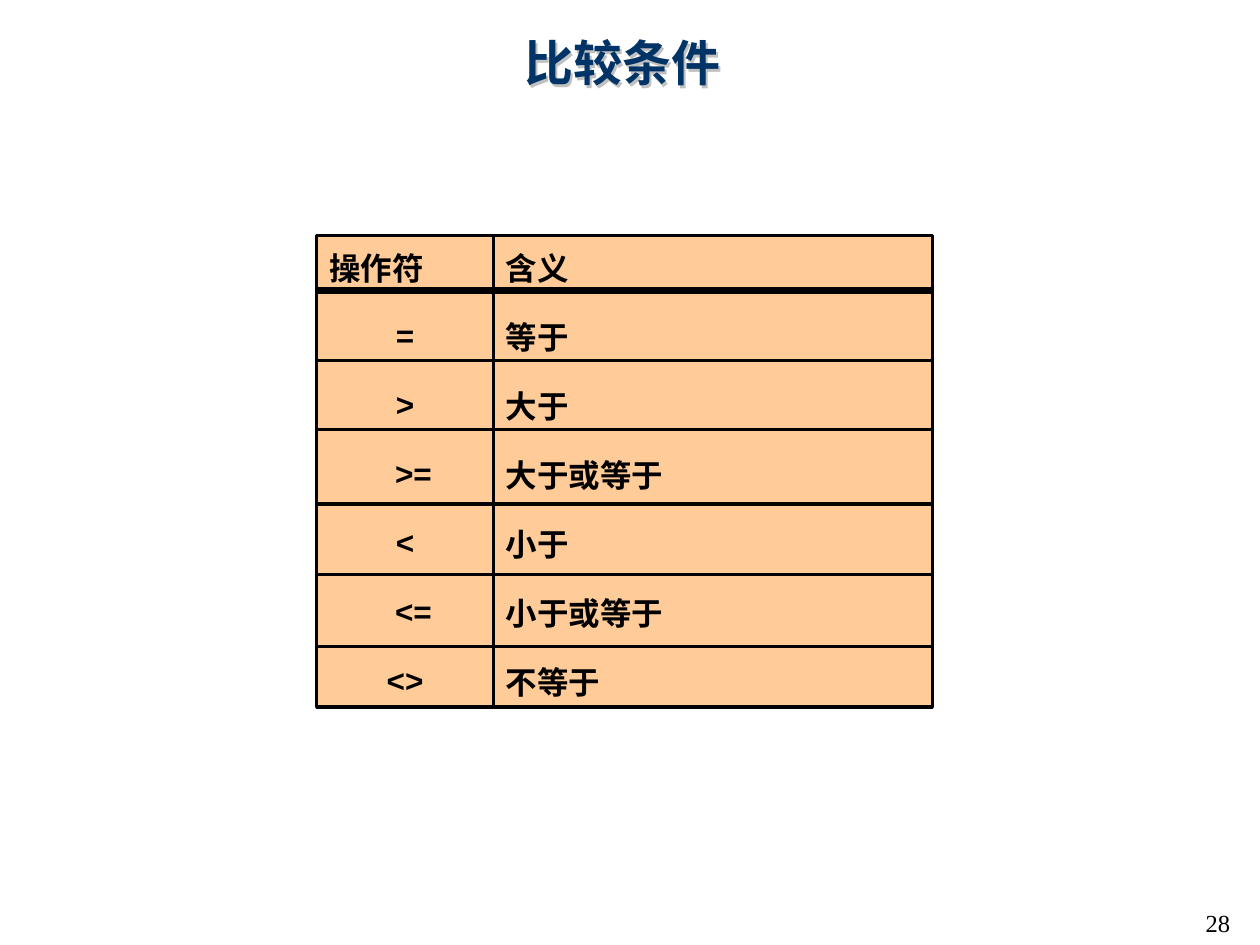
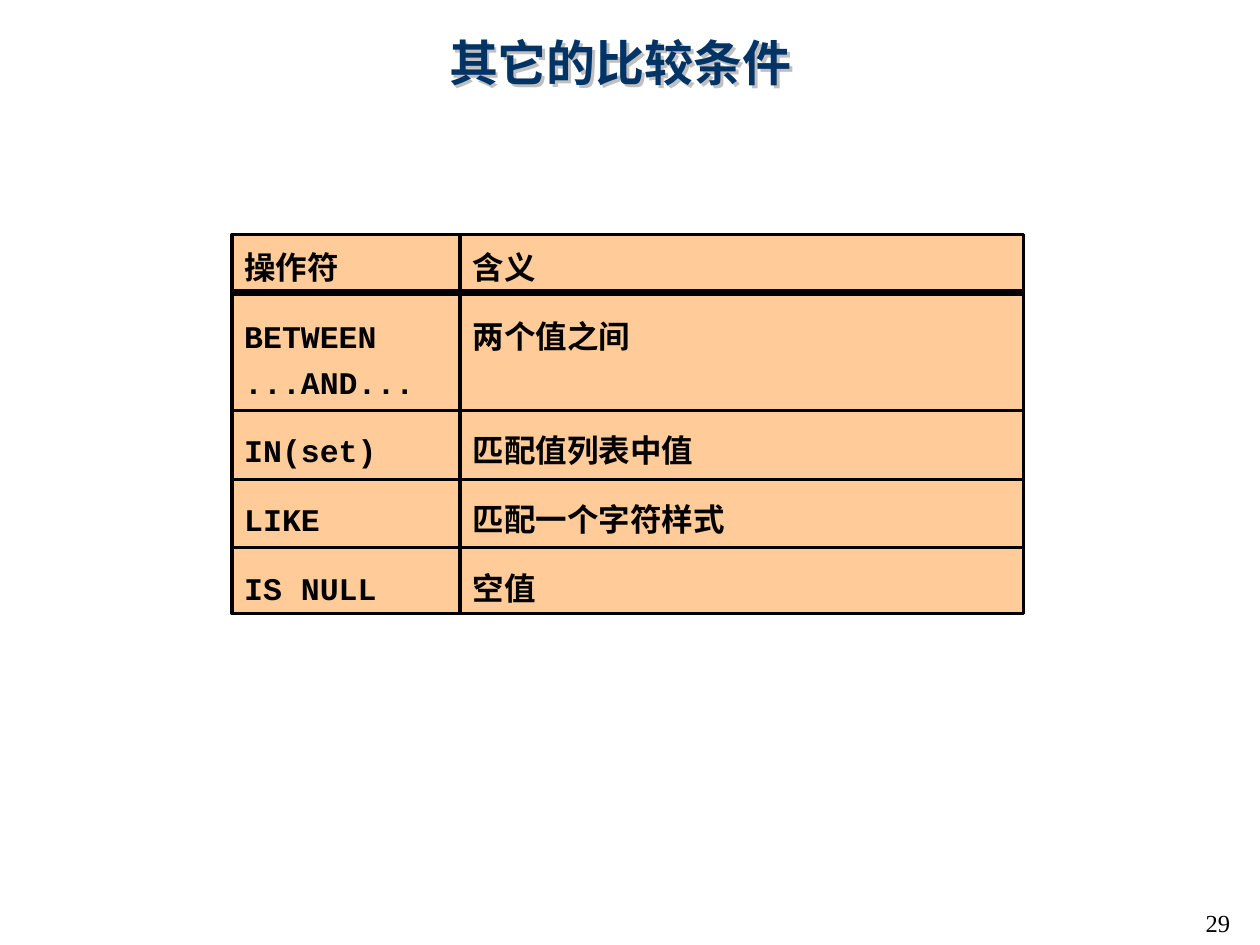
from lxml import etree
from pptx import Presentation
from pptx.dml.color import RGBColor
from pptx.enum import shapes, text
from pptx.oxml.ns import qn
from pptx.util import Pt

NAVY, BLACK, PEACH, GREY = "003366", "000000", "FFCC99", "C0C0C0"
HEAD = ("操作符", "含义")


def rgb(code):
    return RGBColor.from_string(code)


def add(node, tag, **attrs):
    """Append a drawing element with the given attributes."""
    return etree.SubElement(node, qn("a:" + tag), attrs)


class Deck:
    font, code = "Arial", "Courier New"
    lead = 25.9   # line height in the columns
    gap = 13.5    # space between entries

    def __init__(self):
        self.prs = Presentation()
        self.prs.slide_width, self.prs.slide_height = Pt(720), Pt(540)

    def style(self, para, size, color, font, bold=True):
        for run in para.runs:
            run.font.size, run.font.bold = Pt(size), bold
            run.font.name, run.font.color.rgb = font, rgb(color)

    def page(self, title, num, mid):
        """Start a slide with its title, centred on mid, and page number."""
        self.slide = self.prs.slides.add_slide(self.prs.slide_layouts[5])
        self.title(title, mid)
        self.number(num)

    def title(self, words, mid):
        box = self.slide.shapes.title
        box.left, box.top, box.width, box.height = Pt(mid - 305), Pt(14.5), Pt(610), Pt(42)
        frame = box.text_frame
        frame.text = words
        frame.vertical_anchor = text.MSO_ANCHOR.MIDDLE
        para = frame.paragraphs[0]
        para.alignment = text.PP_ALIGN.CENTER
        self.style(para, 28, NAVY, self.font)
        # Soft shadow; the box has no fill, so the letters cast it
        glow = add(box._element.spPr, "effectLst")
        cast = add(glow, "outerShdw", dist=str(Pt(2)), dir="2700000")
        add(cast, "srgbClr", val=GREY)

    def number(self, num):
        box = self.slide.shapes.add_textbox(Pt(689), Pt(519), Pt(24), Pt(17))
        frame = box.text_frame
        frame.margin_left = frame.margin_right = 0
        frame.margin_top = frame.margin_bottom = 0
        frame.word_wrap = True
        frame.text = str(num)
        self.style(frame.paragraphs[0], 14, BLACK, "Times New Roman", False)

    def column(self, x, y, w, h, items, font):
        """Draw a filled column; entries below its heading use font."""
        box = self.slide.shapes.add_shape(
            shapes.MSO_SHAPE.RECTANGLE, Pt(x), Pt(y), Pt(w), Pt(h))
        box.shadow.inherit = False
        box.fill.solid()
        box.fill.fore_color.rgb = rgb(PEACH)
        box.line.color.rgb, box.line.width = rgb(BLACK), Pt(2)
        frame = box.text_frame
        frame.word_wrap = True
        frame.vertical_anchor = text.MSO_ANCHOR.TOP
        frame.text = "\n".join(items)
        for i, para in enumerate(frame.paragraphs):
            para.alignment = text.PP_ALIGN.LEFT
            para.line_spacing = Pt(self.lead)
            para.space_before = Pt(self.gap if i else 0)
            self.style(para, 18, BLACK, font if i else self.font)
        return frame.paragraphs

    def rule(self, x1, x2, y, width=2):
        line = self.slide.shapes.add_connector(
            shapes.MSO_CONNECTOR.STRAIGHT, Pt(x1), Pt(y), Pt(x2), Pt(y))
        line.line.color.rgb, line.line.width = rgb(BLACK), Pt(width)
        add(line._element.spPr, "effectLst")

    def grid(self, xs, ys, rows, font):
        """Two columns on edges xs, ruled at the inner edges of ys."""
        cols = [self.column(x, ys[0], end - x, ys[-1] - ys[0], items, face)
                for x, end, items, face
                in zip(xs, xs[1:], zip(*rows), (font, self.font))]
        for i, y in enumerate(ys[1:-1]):
            self.rule(xs[0], xs[-1], y, 2 if i else 4)
        return cols


def main():
    deck = Deck()

    # Basic comparison operators, with the signs centred
    deck.page("比较条件", 28, 355.5)
    signs, _ = deck.grid(
        (181, 282, 532.8), (134.6, 166, 206, 245.5, 288, 328.3, 369.4, 404),
        [HEAD, ("=", "等于"), (">", "大于"), (">=", "大于或等于"),
         ("<", "小于"), ("<=", "小于或等于"), ("<>", "不等于")],
        deck.font)
    signs[1].space_before = Pt(deck.gap - 1.3)
    for para in signs[1:]:
        para.alignment = text.PP_ALIGN.CENTER
        if para.text.endswith("="):
            props = para._p.get_or_add_pPr()
            props.set("marL", str(Pt(0 if para.text == "=" else 9.5)))

    # Other comparison operators; one meaning spans two lines
    deck.page("其它的比较条件", 29, 354.5)
    _, notes = deck.grid(
        (132.5, 263, 585), (134, 167, 234.7, 274, 313, 350.6),
        [HEAD, ("BETWEEN\v...AND...", "两个值之间"),
         ("IN(set)", "匹配值列表中值"), ("LIKE", "匹配一个字符样式"),
         ("IS NULL", "空值")],
        deck.code)
    notes[1].space_after = Pt(deck.lead)

    deck.prs.save("out.pptx")


if __name__ == "__main__":
    main()
